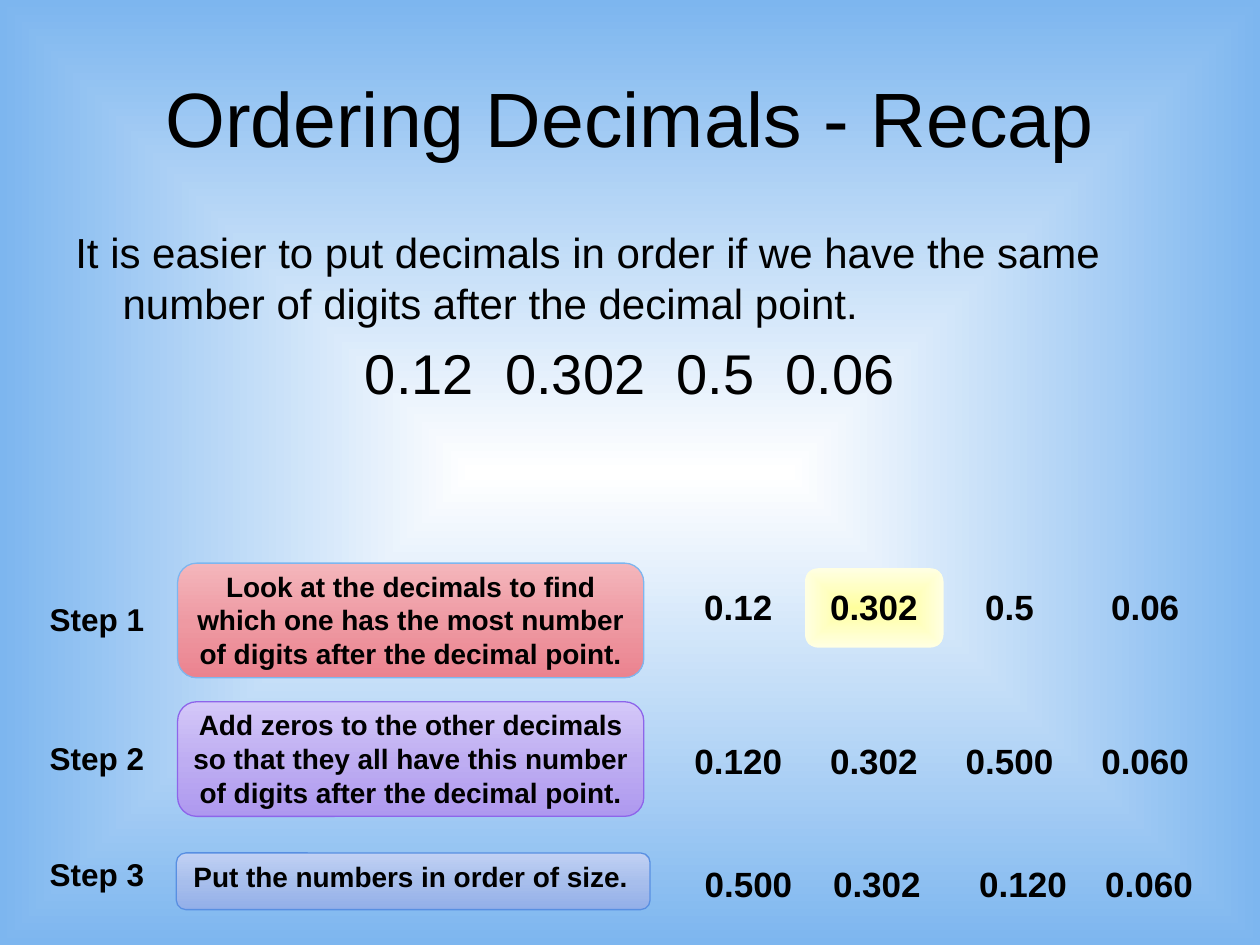
from lxml.etree import SubElement
from pptx import Presentation
from pptx.dml.color import RGBColor
from pptx.enum.shapes import MSO_SHAPE
from pptx.enum.text import MSO_ANCHOR, PP_ALIGN
from pptx.oxml.ns import qn
from pptx.util import Pt


def write(shapes, text, x, y, w, h, size=20, bold=True, align=PP_ALIGN.CENTER,
          anchor=MSO_ANCHOR.TOP, wrap=True, color="000000"):
    box = shapes.add_textbox(Pt(x), Pt(y), Pt(w), Pt(h))
    frame = box.text_frame
    frame.word_wrap = wrap
    frame.vertical_anchor = anchor
    para = frame.paragraphs[0]
    para.alignment = align
    run = para.add_run()
    run.text = text
    run.font.name = "Arial"
    run.font.size = Pt(size)
    run.font.bold = bold
    run.font.color.rgb = RGBColor.from_string(color)
    return frame


def blend(fill, root, stops, form=None):
    fill.gradient()
    grad = next(root.iter(qn("a:gradFill")))
    for child in list(grad):
        grad.remove(child)
    group = SubElement(grad, qn("a:gsLst"))
    for place, color in stops:
        stop = SubElement(group, qn("a:gs"), pos=str(place * 1000))
        SubElement(stop, qn("a:srgbClr"), val=color)
    if form:
        shade = SubElement(grad, qn("a:path"), path=form)
        SubElement(shade, qn("a:fillToRect"), l="50000", t="50000", r="50000", b="50000")
    else:
        SubElement(grad, qn("a:lin"), ang="5400000", scaled="0")


deck = Presentation()
deck.slide_width = Pt(720)
deck.slide_height = Pt(540)
slide = deck.slides.add_slide(deck.slide_layouts[6])
shapes = slide.shapes
back = slide.background.fill
blend(back, slide.element, [(0, "FFFFFF"), (100, "7DB6EF")], "shape")

write(shapes, "Ordering Decimals - Recap", 36, 21.6, 648, 90, size=44, bold=False,
      anchor=MSO_ANCHOR.MIDDLE)
body = write(shapes, "It is easier to put decimals in order if we have the same "
             "number of digits after the decimal point.", 36, 126, 648, 356.4,
             size=24, bold=False, align=PP_ALIGN.LEFT)
row = body.add_paragraph()
row.alignment = PP_ALIGN.CENTER
row.space_before = Pt(6.4)
for para in body.paragraphs:
    props = para._p.get_or_add_pPr()
    props.set("marL", str(Pt(27)))
    props.set("indent", str(Pt(-27)))
for part in ["0.12", " ", "0.302", " ", "0.5", " ", "0.06"]:
    run = row.add_run()
    run.text = part
    run.font.name = "Arial"
    run.font.size = Pt(32)
    run.font.color.rgb = RGBColor.from_string("000000")
    if part == " ":
        run.font._element.set("spc", "890")

steps = [
    ("Step 1", "Look at the decimals to find which one has the most number "
     "of digits after the decimal point.",
     (101.5, 321.8, 266.4, 65.5), 339.1, ("F4B6BC", "EE99A2", "EB838F"), "7DB6EF"),
    ("Step 2", "Add zeros to the other decimals so that they all have this number "
     "of digits after the decimal point.",
     (101.5, 401, 266.4, 65.5), 419, ("D4C8F8", "BEADF2", "AE99EF"), "8D65EA"),
    ("Step 3", "Put the numbers in order of size.",
     (100.8, 487.4, 270.7, 32.4), 485.3, ("C1D1F4", "A7BEEC", "93AFE9"), "588FE2"),
]
for name, text, place, top, tints, edge in steps:
    group = shapes.add_group_shape().shapes
    card = group.add_shape(MSO_SHAPE.ROUNDED_RECTANGLE, *map(Pt, place))
    card.shadow.inherit = False
    blend(card.fill, card.element, zip((0, 52, 100), tints))
    card.line.color.rgb = RGBColor.from_string(edge)
    card.line.width = Pt(0.75)
    write(group, name, 20.9, top, 69.1, 28.8, size=18, wrap=False)
    write(group, text, 101.5, place[1], 266.4, place[3], size=16)

mark = shapes.add_shape(MSO_SHAPE.ROUNDED_RECTANGLE, Pt(460), Pt(324.7), Pt(79.2), Pt(45.4))
mark.shadow.inherit = False
blend(mark.fill, mark.element, [(0, "FFFF9D"), (50, "FFFFC3"), (100, "FFFFE3")], "rect")
mark.line.fill.background()

even = [378 + 77.5 * i for i in range(4)]
rows = [
    (331.2, even, ("0.12", "0.302", "0.5", "0.06")),
    (419, even, ("0.120", "0.302", "0.500", "0.060")),
    (489.6, (383.8, 457.2, 540.7, 612.7), ("0.500", "0.302", "0.120", "0.060")),
]
for top, lefts, words in rows:
    for left, word in zip(lefts, words):
        write(shapes, word, left, top, 87.8, 31.7)

deck.save("out.pptx")
